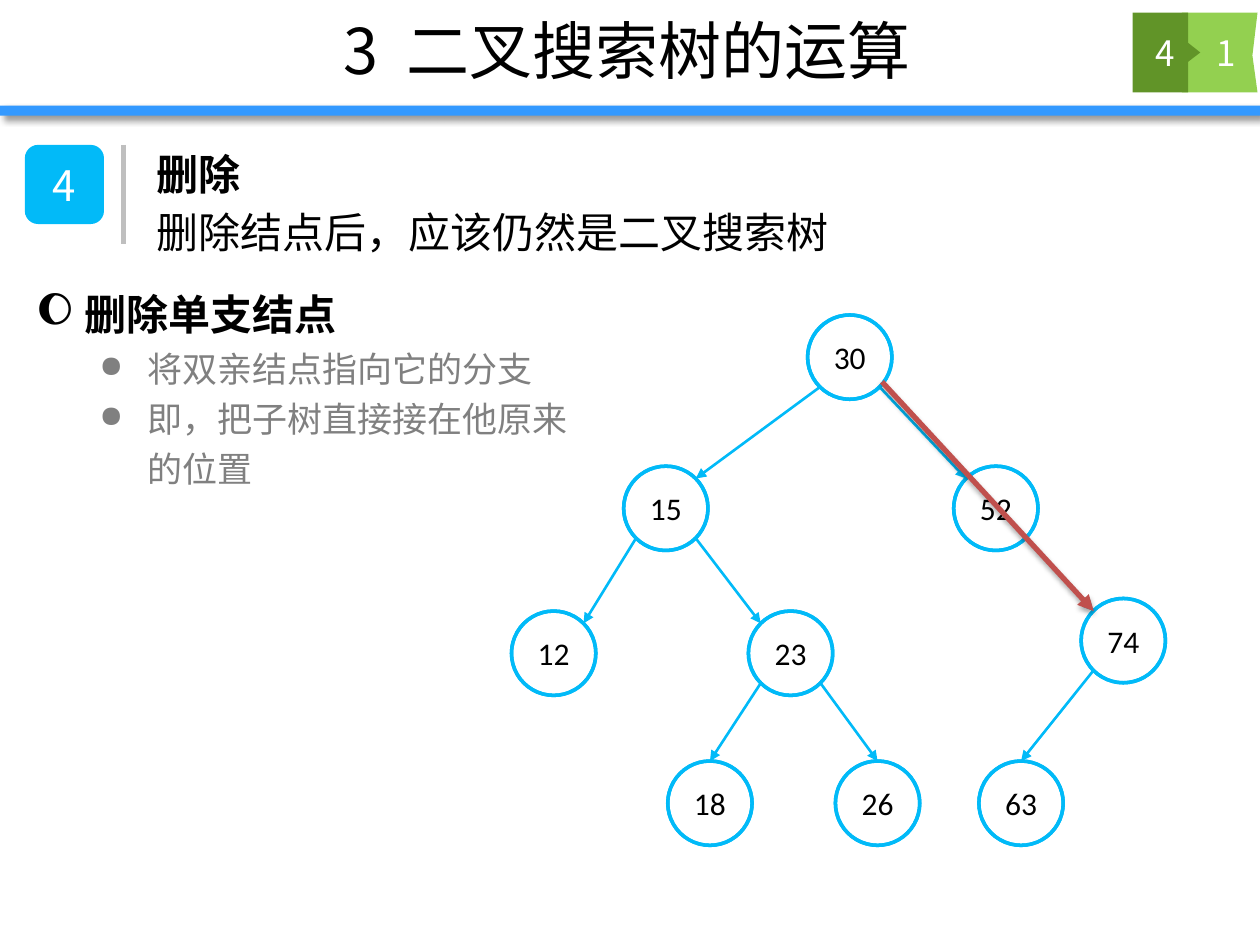
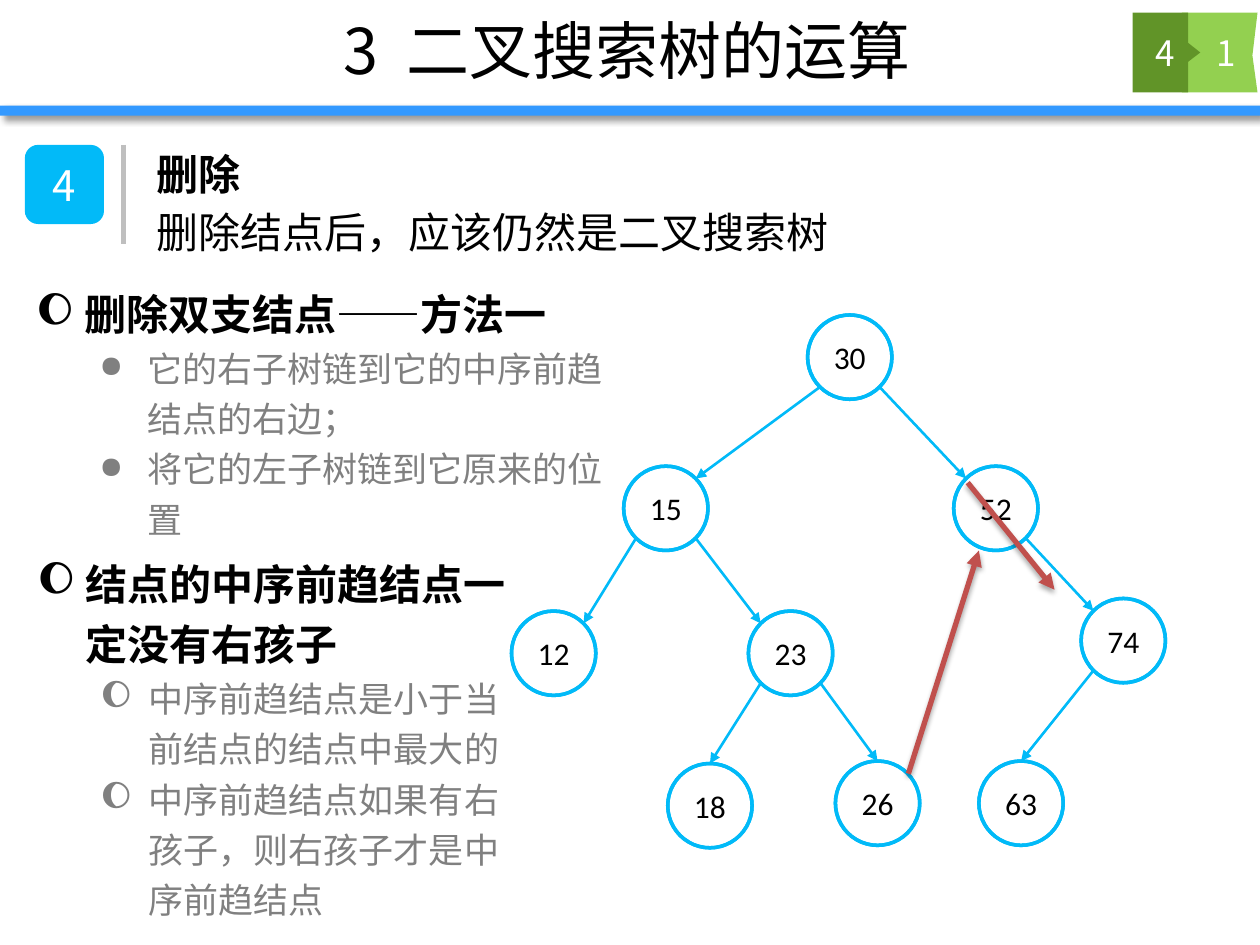
from dataclasses import dataclass

import lxml.etree
import pptx
import pptx.dml.color
import pptx.enum.shapes
import pptx.enum.text
import pptx.oxml.ns
import pptx.util

Pt = pptx.util.Pt
qn = pptx.oxml.ns.qn
Shape = pptx.enum.shapes.MSO_SHAPE
Align = pptx.enum.text.PP_ALIGN
Anchor = pptx.enum.text.MSO_ANCHOR


@dataclass(frozen=True)
class Theme:
    font: str = "Noto Sans CJK SC"
    digit: str = "Calibri"
    black: str = "000000"
    white: str = "FFFFFF"
    gray: str = "808080"
    rule: str = "BFBFBF"
    band: str = "3399FF"
    lime: str = "93D050"
    green: str = "619428"
    tile: str = "02BAF8"
    blue: str = "01BAF8"
    red: str = "C0504D"
    title: int = 36
    head: int = 24
    body: int = 20
    node: int = 18


MOON, DOT = "🌔", "●"
BAND_SHADE = (40, 4, 3, 45)
ARROW_SHADE = (35, 3.1, 1.8, 90)
NODE = 48.2
SPOTS = {
    "30": (461.5, 180), "15": (356.4, 266.4), "52": (545, 266.4),
    "12": (292.3, 349.2), "23": (427.7, 349.2), "74": (617.8, 342),
    "18": (381.6, 434.9), "26": (477.4, 434.9), "63": (559.4, 434.9),
}
EDGES = [("30", "15"), ("30", "52"), ("15", "12"), ("15", "23"),
         ("52", "74"), ("23", "18"), ("23", "26"), ("74", "63")]
LEAVES = {"18", "26", "63"}


def rgb(code):
    return pptx.dml.color.RGBColor.from_string(code)


def add(parent, tag, **attrs):
    node = lxml.etree.SubElement(parent, qn(tag))
    for key, value in attrs.items():
        node.set(key, str(value))
    return node


class Deck:
    def __init__(self, theme):
        self.theme = theme
        self.show = pptx.Presentation()
        self.show.slide_width, self.show.slide_height = Pt(720), Pt(540)
        self.slide = None

    def page(self):
        self.slide = self.show.slides.add_slide(self.show.slide_layouts[6])

    def shade(self, effects, style):
        alpha, blur, dist, angle = style
        shadow = add(effects, "a:outerShdw", blurRad=Pt(blur), dist=Pt(dist),
                     dir=angle * 60000, algn="ctr", rotWithShape=0)
        color = add(shadow, "a:srgbClr", val=self.theme.black)
        add(color, "a:alpha", val=alpha * 1000)

    def paint(self, shape, fill, line=None, width=2):
        shape.shadow.inherit = False
        shape.fill.solid()
        shape.fill.fore_color.rgb = rgb(fill)
        if line:
            shape.line.color.rgb = rgb(line)
            shape.line.width = Pt(width)
        else:
            shape.line.fill.background()

    def shape(self, kind, box, fill, line=None):
        shape = self.slide.shapes.add_shape(kind, *map(Pt, box))
        self.paint(shape, fill, line)
        return shape

    def free(self, points, fill):
        spots = [(Pt(x), Pt(y)) for x, y in points]
        build = self.slide.shapes.build_freeform(*spots[0])
        build.add_line_segments(spots[1:])
        self.paint(build.convert_to_shape(), fill)

    def line(self, start, end, color, width, arrow=True, shade=None):
        line = self.slide.shapes.add_connector(
            pptx.enum.shapes.MSO_CONNECTOR.STRAIGHT, *map(Pt, start + end))
        line.line.color.rgb = rgb(color)
        line.line.width = Pt(width)
        props = line._element.spPr
        if arrow:
            add(props.find(qn("a:ln")), "a:tailEnd", type="triangle")
        effects = add(props, "a:effectLst")
        if shade:
            self.shade(effects, shade)

    def run(self, para, text, size, color, bold=False, font=None, gap=0):
        run = para.add_run()
        run.text = text
        run.font.size = Pt(size)
        run.font.bold = bold
        run.font.color.rgb = rgb(color)
        run.font.name = font or self.theme.font
        props = run._r.get_or_add_rPr()
        add(props, "a:ea", typeface=self.theme.font)
        if gap:
            props.set("spc", str(gap * 100))

    def middle(self, shape):
        frame = shape.text_frame
        frame.vertical_anchor = Anchor.MIDDLE
        para = frame.paragraphs[0]
        para.alignment = Align.CENTER
        return para

    def box(self, box):
        shape = self.slide.shapes.add_textbox(*map(Pt, box))
        shape.text_frame.word_wrap = True
        return shape

    def label(self, box, text, bold=False):
        para = self.box(box).text_frame.paragraphs[0]
        para.line_spacing = 1.2
        self.run(para, text, self.theme.head, self.theme.black, bold)

    def notes(self, box, head, items, mark):
        frame = self.box(box).text_frame
        look = self.theme
        for level, text in enumerate([head] + items):
            sub = level > 0
            para = frame.add_paragraph() if sub else frame.paragraphs[0]
            para.level = int(sub)
            para.line_spacing = 1.2
            props = para._p.get_or_add_pPr()
            props.set("marL", str(Pt(63.4 if sub else 27.4)))
            props.set("indent", str(-Pt(27.4)))
            add(props, "a:buSzPct", val=86000)
            add(props, "a:buChar", char=mark if sub else MOON)
            if sub:
                self.run(para, text, look.body, look.gray)
            else:
                self.run(para, text, look.head, look.black, True)

    def frame(self):
        look = self.theme
        band = self.shape(Shape.RECTANGLE, (0, 60.3, 720, 5.8), look.band)
        self.shade(band._element.spPr.find(qn("a:effectLst")), BAND_SHADE)
        top, low = 7.2, 52.8
        self.free([(675.4, top), (718.6, top), (715.7, 31.7), (718.6, low),
                   (675.4, low), (675.4, top)], look.lime)
        self.free([(647.3, top), (679, top), (679, 24.5), (685.9, 30),
                   (679, 35.3), (679, low), (647.3, low), (647.3, top)],
                  look.green)
        para = self.middle(self.box((70.6, 0.7, 575.3, 55.4)))
        for text, gap in [("3", 0), (" ", 8), ("二叉搜索树的运算", 0)]:
            self.run(para, text, look.title, look.black, gap=gap)
        for left, text in [(678.2, "1"), (643.7, "4")]:
            para = self.middle(self.box((left, top, 44.6, 45.4)))
            self.run(para, text, look.body, look.white)

    def topic(self):
        look = self.theme
        tile = self.shape(Shape.ROUNDED_RECTANGLE, (14.2, 82.8, 45.2, 45.2),
                          look.tile)
        self.run(self.middle(tile), "4", look.head, look.white)
        self.label((82.1, 75.6, 635, 38.9), "删除", True)
        self.line((70.7, 82.8), (70.7, 139.5), look.rule, 3, False)
        self.label((82.1, 108.7, 635, 38.9), "删除结点后，应该仍然是二叉搜索树")

    def tree(self, spots):
        look = self.theme
        near, far = NODE * 0.146, NODE * 0.854
        for key, (x, y) in spots.items():
            ring = self.shape(Shape.DONUT, (x, y, NODE, NODE), look.green,
                              look.blue)
            ring.adjustments[0] = 0
            para = self.middle(ring)
            ring.text_frame.word_wrap = False
            self.run(para, key, look.node, look.black, font=look.digit)
        for source, target in EDGES:
            (x, y), (u, v) = spots[source], spots[target]
            left = u < x
            start = (x + (near if left else far), y + far)
            if target in LEAVES:
                end = (u + NODE / 2, v)
            else:
                end = (u + (far if left else near), v + near)
            self.line(start, end, look.blue, 1.5)

    def move(self, start, end):
        self.line(start, end, self.theme.red, 3, shade=ARROW_SHADE)

    def start(self, spots):
        self.page()
        self.frame()
        self.topic()
        self.tree(spots)


def main():
    deck = Deck(Theme())

    deck.start(SPOTS)
    deck.notes((13.7, 155.5, 327, 129.6), "删除单支结点",
               ["将双亲结点指向它的分支", "即，把子树直接接在他原来的位置"], DOT)
    deck.move((504, 218.2), (625, 349.2))

    deck.start(SPOTS | {"18": (381.6, 436.3)})
    deck.notes((13.7, 155.5, 351.4, 158.4), "删除双支结点——方法一",
               ["它的右子树链到它的中序前趋结点的右边；",
                "将它的左子树链到它原来的位置"], DOT)
    deck.move((519.1, 442.1), (559.4, 314.6))
    deck.move((553, 275.8), (602.6, 337))
    deck.notes((14.4, 309.6, 285, 222.5), "结点的中序前趋结点一定没有右孩子",
               ["中序前趋结点是小于当前结点的结点中最大的",
                "中序前趋结点如果有右孩子，则右孩子才是中序前趋结点"], MOON)

    deck.show.save("out.pptx")


if __name__ == "__main__":
    main()
